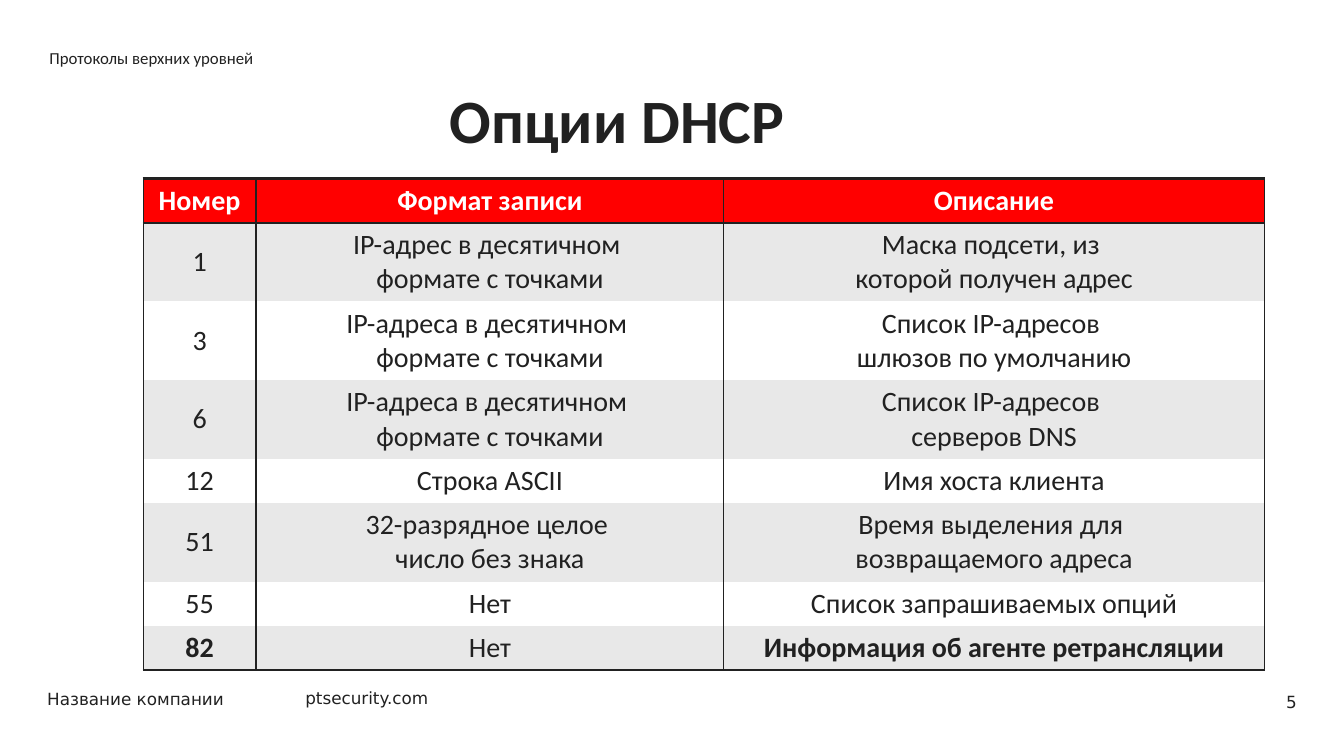
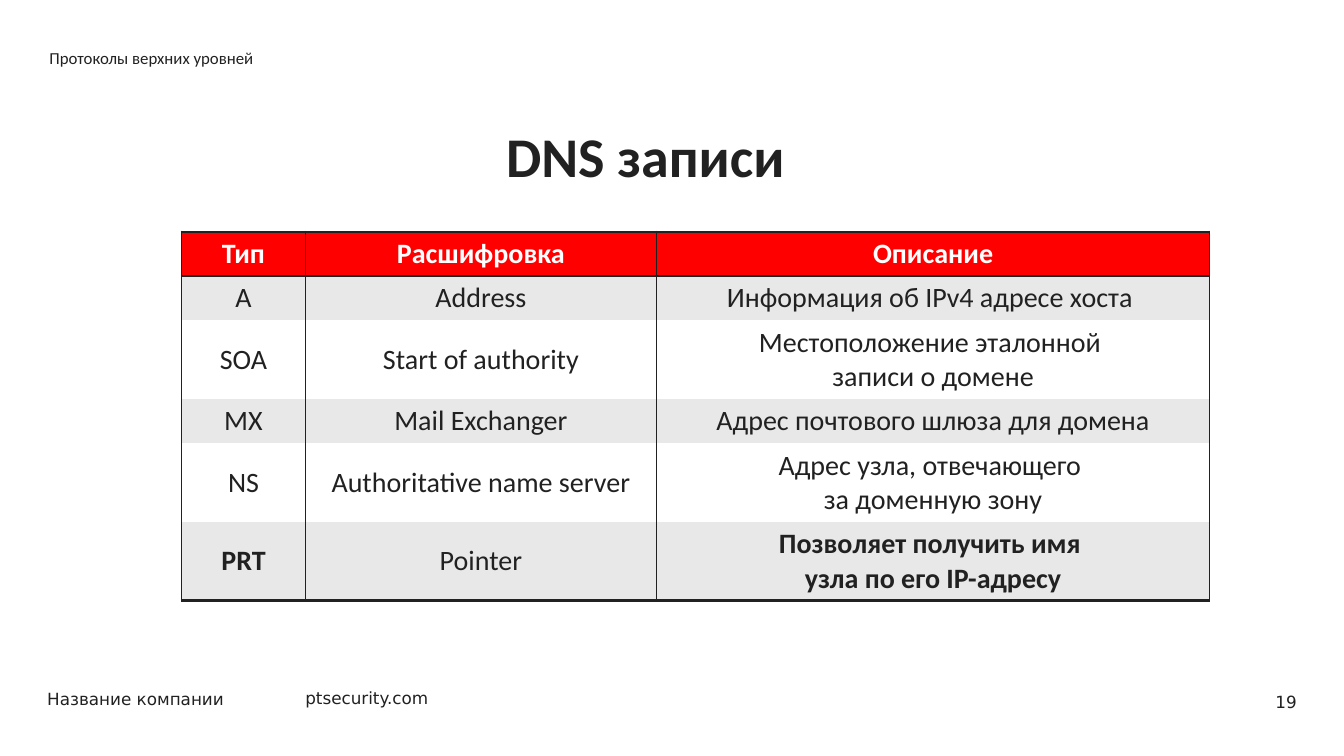
import dataclasses

import lxml.etree
import pptx
import pptx.dml.color
import pptx.enum.text
import pptx.oxml.ns
import pptx.util

SCALE = 9144
ALIGN = pptx.enum.text.PP_ALIGN
ANCHOR = pptx.enum.text.MSO_ANCHOR


@dataclasses.dataclass(frozen=True)
class Theme:
    ink: str = "212121"
    paper: str = "FFFFFF"
    accent: str = "FF0000"
    band: str = "E8E8E8"
    font: str = "Calibri"
    footer_font: str = "DejaVu Sans"
    small_size: int = 12
    table_size: int = 20
    title_spacing: int = 48
    thin_line: int = 1
    thick_line: int = 2


def px(length):
    return pptx.util.Emu(length * SCALE)


def rgb(color):
    return pptx.dml.color.RGBColor.from_string(color)


def add_element(parent, tag, **attributes):
    return lxml.etree.SubElement(parent, pptx.oxml.ns.qn(tag), attributes)


class Deck:
    def __init__(self, theme):
        self.theme = theme
        self.presentation = pptx.Presentation()
        self.presentation.slide_width = px(1333)
        self.presentation.slide_height = px(750)
        self.slide = None

    def format_text(self, text_frame, text, size, font=None, color=None,
                    bold=False, align=ALIGN.LEFT, anchor=ANCHOR.MIDDLE):
        text_frame.text = text
        text_frame.word_wrap = True
        text_frame.vertical_anchor = anchor
        paragraph = text_frame.paragraphs[0]
        paragraph.alignment = align
        for run in paragraph.runs:
            run.font.name = font or self.theme.font
            run.font.size = pptx.util.Pt(size)
            run.font.bold = bold
            run.font.color.rgb = rgb(color or self.theme.ink)
        return paragraph

    def place(self, shape, left, top, width, height):
        shape.left, shape.top = px(left), px(top)
        shape.width, shape.height = px(width), px(height)
        shape.text_frame.auto_size = pptx.enum.text.MSO_AUTO_SIZE.NONE

    def add_slide(self, number):
        layout = self.presentation.slide_layouts[1]
        self.slide = self.presentation.slides.add_slide(layout)
        background = self.slide.background.fill
        background.solid()
        background.fore_color.rgb = rgb(self.theme.paper)
        self.section("Протоколы верхних уровней")
        self.footer("Название компании", 37, 678, 220, 30)
        self.footer("ptsecurity.com", 293, 677, 160, 30)
        self.footer(str(number), 1072, 676, 224, 40, ALIGN.RIGHT, ANCHOR.MIDDLE)

    def section(self, text):
        body = self.slide.placeholders[1]
        self.place(body, 39, 37, 1033, 40)
        paragraph = self.format_text(body.text_frame, text, self.theme.small_size)
        properties = paragraph._p.get_or_add_pPr()
        properties.set("marL", "0")
        properties.set("indent", "0")
        add_element(properties, "a:buNone")
        paragraph.space_before = pptx.util.Pt(0)
        paragraph.space_after = pptx.util.Pt(12)

    def footer(self, text, left, top, width, height,
               align=ALIGN.LEFT, anchor=ANCHOR.TOP):
        box = self.slide.shapes.add_textbox(
            px(left), px(top), px(width), px(height))
        self.format_text(box.text_frame, text, self.theme.small_size,
                         self.theme.footer_font, align=align, anchor=anchor)

    def title(self, text, left, top, width, size):
        title = self.slide.shapes.title
        self.place(title, left, top, width, 120)
        paragraph = self.format_text(title.text_frame, text, size, bold=True,
                                     anchor=ANCHOR.TOP)
        paragraph.line_spacing = pptx.util.Pt(self.theme.title_spacing)

    def border(self, cell, side, width):
        properties = cell._tc.get_or_add_tcPr()
        line = add_element(properties, f"a:ln{side}",
                           w=str(int(pptx.util.Pt(width))))
        if width:
            fill = add_element(line, "a:solidFill")
            add_element(fill, "a:srgbClr", val=self.theme.ink)
        else:
            add_element(line, "a:noFill")

    def cell(self, cell, text, row, last_row, bold):
        theme = self.theme
        header = row == 0
        self.format_text(cell.text_frame, text, theme.table_size,
                         color=theme.paper if header else theme.ink,
                         bold=bold or header, align=ALIGN.CENTER)
        cell.vertical_anchor = ANCHOR.MIDDLE
        widths = {
            "L": theme.thin_line,
            "R": theme.thin_line,
            "T": theme.thick_line if row <= 1 else 0,
            "B": theme.thick_line if row in (0, last_row) else 0,
        }
        for side, width in widths.items():
            self.border(cell, side, width)
        cell.fill.solid()
        stripe = theme.band if row % 2 else theme.paper
        cell.fill.fore_color.rgb = rgb(theme.accent if header else stripe)

    def table(self, left, top, column_widths, rows):
        heights = [78 if any("\v" in text for text in row) else 44 for row in rows]
        table = self.slide.shapes.add_table(
            len(rows), len(column_widths), px(left), px(top),
            px(sum(column_widths)), px(sum(heights))).table
        table.horz_banding = False
        for column, width in zip(table.columns, column_widths):
            column.width = px(width)
        last_row = len(rows) - 1
        for row, texts in enumerate(rows):
            table.rows[row].height = px(heights[row])
            for column, text in enumerate(texts):
                bold = row == last_row and column != 1
                self.cell(table.cell(row, column), text, row, last_row, bold)


def main():
    deck = Deck(Theme())

    deck.add_slide(5)
    deck.title("Опции DHCP", 436, 83, 486, 44)
    deck.table(142, 177, [112, 464, 536], [
        ("Номер", "Формат записи", "Описание"),
        ("1", "IP-адрес в десятичном \vформате с точками",
         "Маска подсети, из \vкоторой получен адрес"),
        ("3", "IP-адреса в десятичном \vформате с точками",
         "Список IP-адресов \vшлюзов по умолчанию"),
        ("6", "IP-адреса в десятичном \vформате с точками",
         "Список IP-адресов \vсерверов DNS"),
        ("12", "Строка ASCII", "Имя хоста клиента"),
        ("51", "32-разрядное целое \vчисло без знака",
         "Время выделения для \vвозвращаемого адреса"),
        ("55", "Нет", "Список запрашиваемых опций"),
        ("82", "Нет", "Информация об агенте ретрансляции"),
    ])

    deck.add_slide(19)
    deck.title("DNS записи", 492, 116, 429, 40)
    deck.table(180, 230, [123, 348, 549], [
        ("Тип", "Расшифровка", "Описание"),
        ("A", "Address", "Информация об IPv4 адресе хоста "),
        ("SOA", "Start of authority",
         "Местоположение эталонной \vзаписи о домене"),
        ("MX", "Mail Exchanger", "Адрес почтового шлюза для домена"),
        ("NS", "Authoritative name server",
         "Адрес узла, отвечающего \vза доменную зону"),
        ("PRT", "Pointer", "Позволяет получить имя \vузла по его IP-адресу"),
    ])

    deck.presentation.save("out.pptx")


if __name__ == "__main__":
    main()
